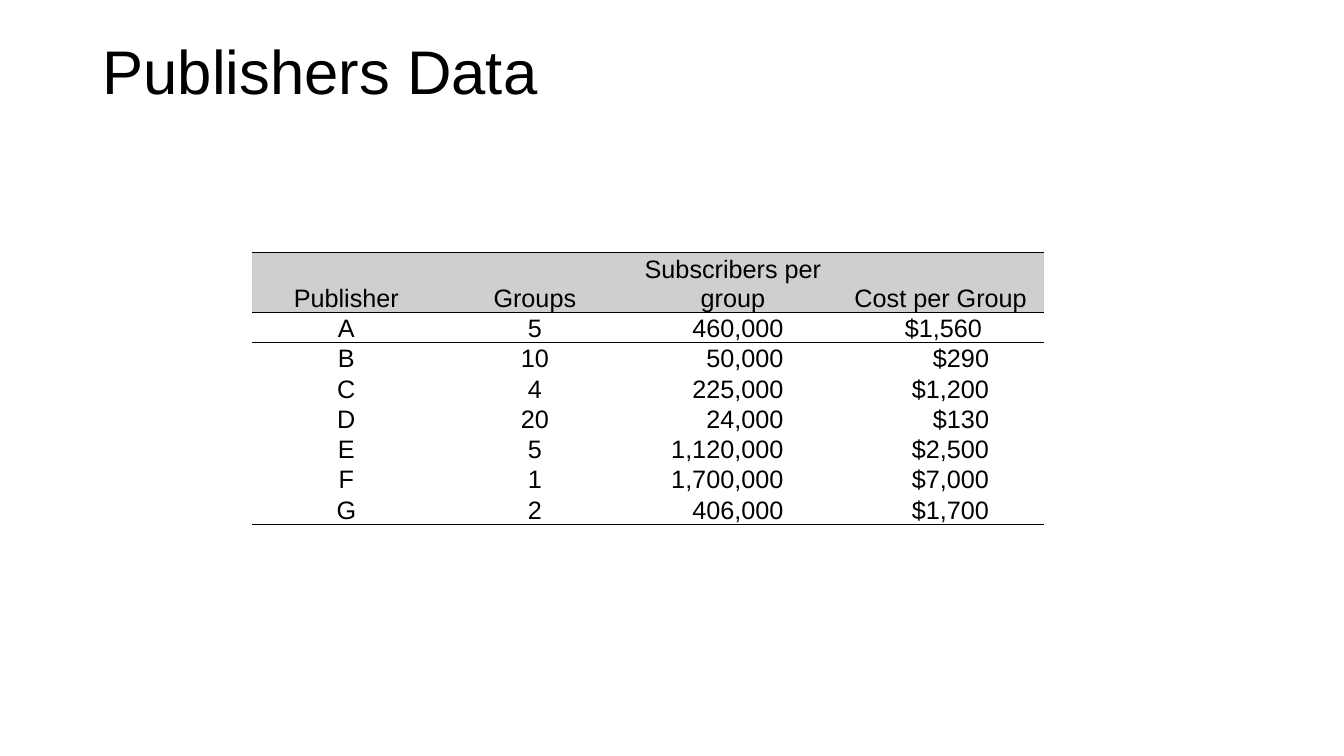
from dataclasses import dataclass

from lxml.etree import SubElement
from pptx import Presentation
from pptx.dml.color import RGBColor
from pptx.enum.text import MSO_ANCHOR, PP_ALIGN
from pptx.oxml.ns import qn
from pptx.util import Inches, Pt


@dataclass(frozen=True)
class Theme:
    font: str = "Arial"
    ink: str = "000000"
    header_fill: str = "D0CECE"
    title_size: int = 44
    table_size: int = 18
    plain_table_style: str = "{2D5ABB26-0587-4C30-8999-92F81FD0307C}"


THEME = Theme()
HEADINGS = ("Publisher", "Groups", "Subscribers per group", "Cost per Group")
PUBLISHERS = (
    ("A", "5", "460,000", "$1,560"),
    ("B", "10", "50,000", "$290"),
    ("C", "4", "225,000", "$1,200"),
    ("D", "20", "24,000", "$130"),
    ("E", "5", "1,120,000", "$2,500"),
    ("F", "1", "1,700,000", "$7,000"),
    ("G", "2", "406,000", "$1,700"),
)
COLUMN_WIDTHS = (1.87, 1.87, 2.06, 2.06)
HEADER_HEIGHT, PUBLISHER_HEIGHT, EMPTY_HEIGHT = 0.57, 0.29, 0.49
CELL_MARGIN = 0.01
FIGURE_INDENTS = {2: 0.53, 3: 0.55}
FIRST_COST_INDENT = 0.62


def style_text(paragraph, size):
    for run in paragraph.runs:
        run.font.name = THEME.font
        run.font.size = Pt(size)
        run.font.color.rgb = RGBColor.from_string(THEME.ink)


def add_title(slide, wording):
    title = slide.shapes.add_textbox(Inches(0.92), Inches(0.01), Inches(11.5), Inches(1.45))
    frame = title.text_frame
    frame.word_wrap = True
    frame.vertical_anchor = MSO_ANCHOR.MIDDLE
    frame.text = wording
    heading = frame.paragraphs[0]
    heading.line_spacing = 0.9
    style_text(heading, THEME.title_size)


def fill_cell(cell, wording, indent=None):
    cell.vertical_anchor = MSO_ANCHOR.BOTTOM
    cell.margin_left = Inches(CELL_MARGIN)
    cell.margin_right = Inches(CELL_MARGIN if indent is None else indent)
    cell.margin_top = cell.margin_bottom = 0
    cell.text_frame.text = wording
    entry = cell.text_frame.paragraphs[0]
    entry.alignment = PP_ALIGN.CENTER if indent is None else PP_ALIGN.RIGHT
    style_text(entry, THEME.table_size)


def add_border(cell, side, width):
    border = SubElement(cell._tc.get_or_add_tcPr(), qn(f"a:{side}"), w=str(Pt(width)))
    fill = SubElement(border, qn("a:solidFill"))
    SubElement(fill, qn("a:srgbClr"), val=THEME.ink)


def draw_rules(table, rules):
    for row_index, row in enumerate(table.rows):
        for cell in row.cells:
            for side, boundary in (("lnT", row_index), ("lnB", row_index + 1)):
                if boundary in rules:
                    add_border(cell, side, rules[boundary])


def add_publisher_table(slide):
    heights = [HEADER_HEIGHT] + [PUBLISHER_HEIGHT] * len(PUBLISHERS) + [EMPTY_HEIGHT]
    table = slide.shapes.add_table(
        len(heights), len(HEADINGS), Inches(2.5), Inches(2.5),
        Inches(sum(COLUMN_WIDTHS)), Inches(sum(heights)),
    ).table
    table.first_row = table.horz_banding = False
    table._tbl.tblPr.find(qn("a:tableStyleId")).text = THEME.plain_table_style
    for column, width in zip(table.columns, COLUMN_WIDTHS):
        column.width = Inches(width)
    for row, height in zip(table.rows, heights):
        row.height = Inches(height)

    draw_rules(table, {0: 0.5, 1: 1, len(PUBLISHERS) + 1: 0.5})
    for column_index, heading in enumerate(HEADINGS):
        fill_cell(table.cell(0, column_index), heading)
    for row_index, publisher in enumerate(PUBLISHERS, start=1):
        for column_index, value in enumerate(publisher):
            indent = FIGURE_INDENTS.get(column_index)
            if (row_index, column_index) == (1, 3):
                indent = FIRST_COST_INDENT
            fill_cell(table.cell(row_index, column_index), value, indent)

    for row_index, row in enumerate(table.rows):
        for cell in row.cells:
            if row_index == 0:
                cell.fill.solid()
                cell.fill.fore_color.rgb = RGBColor.from_string(THEME.header_fill)
            else:
                cell.fill.background()


def main():
    presentation = Presentation()
    presentation.slide_width = Inches(13.33)
    presentation.slide_height = Inches(7.5)
    slide = presentation.slides.add_slide(presentation.slide_layouts[6])
    add_title(slide, "Publishers Data")
    add_publisher_table(slide)
    presentation.save("out.pptx")


if __name__ == "__main__":
    main()
